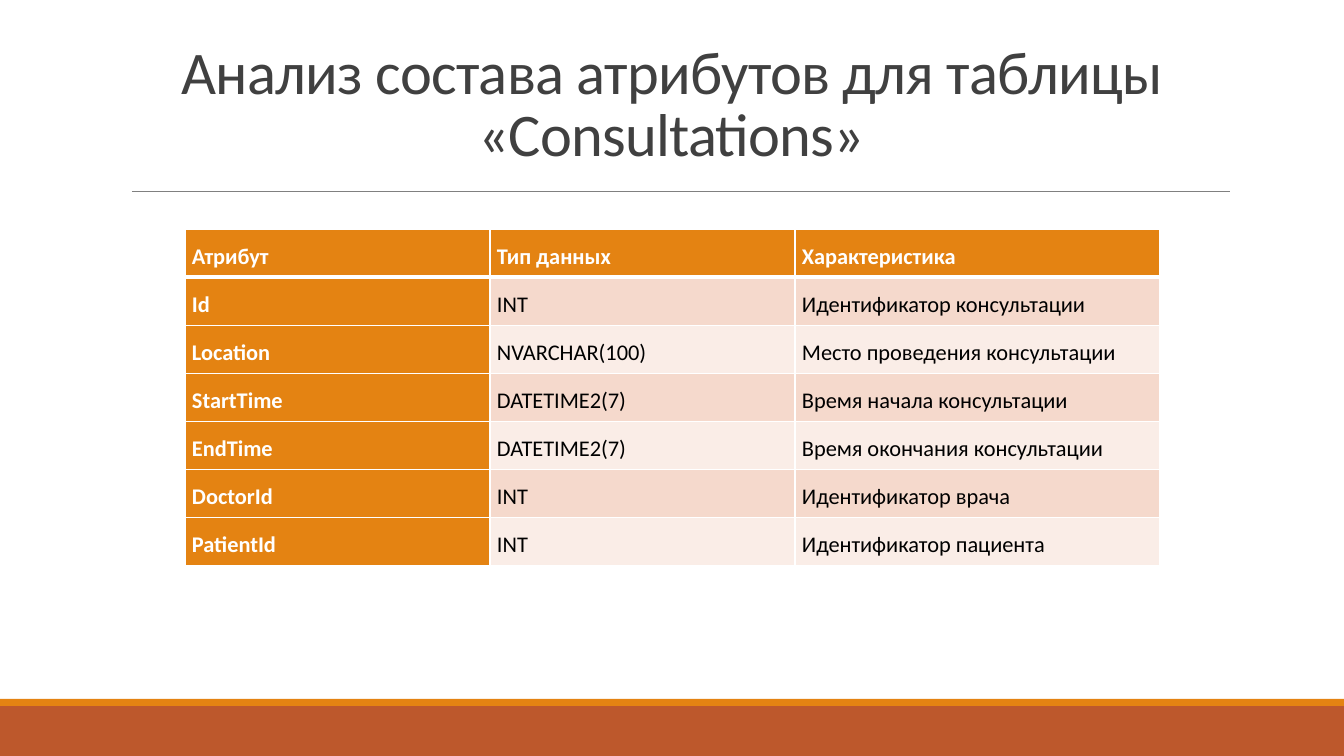
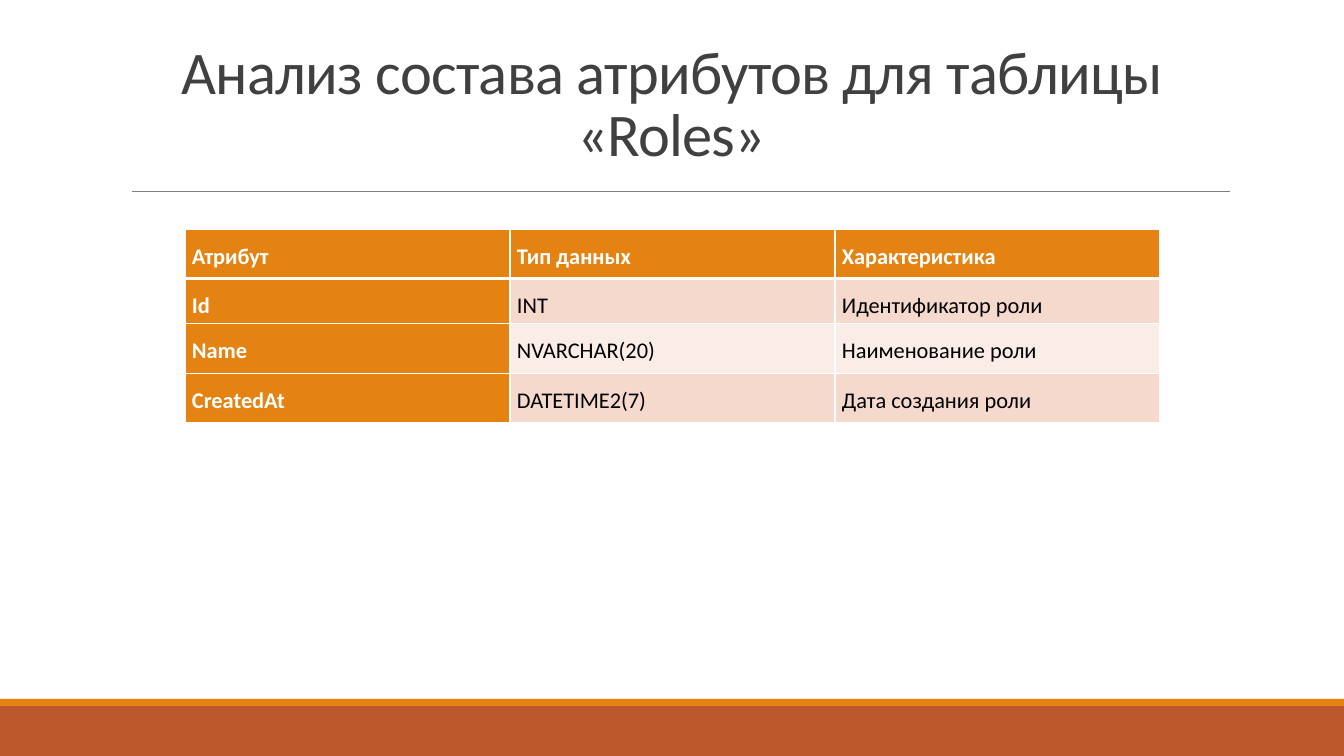
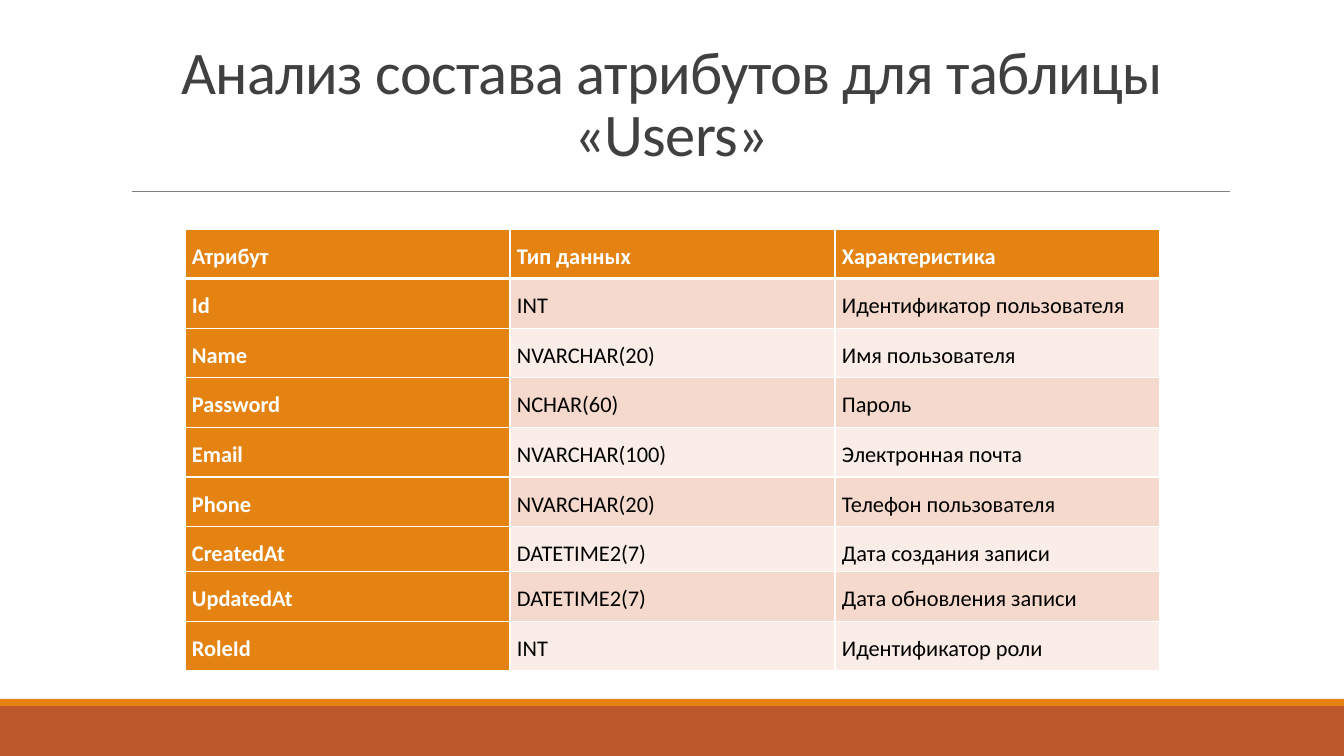
from lxml import etree
from pptx import Presentation
from pptx import util as u
from pptx.dml.color import RGBColor
from pptx.enum import shapes, text
from pptx.oxml import ns

EMU_PER_PX = 914400 / 100.8
FONT = "Calibri"
WHITE, BLACK, GREY, TITLE_COLOR = "FFFFFF", "000000", "808080", "404040"
ORANGE, RUST = "E48312", "BD582C"
ROW_FILLS = ["F5D9CC", "FAEDE7"]
BANDS = [(706, 50, RUST), (699, 7, ORANGE)]
WIDTH, HEIGHT = 1344, 756
TABLE_LEFT, TABLE_TOP = 185, 229
HEADER = ("Атрибут", "Тип данных", "Характеристика")

# short_row is the index of the one lower row, short_height its height
TABLES = [
    dict(name="Consultations", columns=[305, 305, 365], height=337,
         short_row=None, rows=[
             ("Id", "INT", "Идентификатор консультации"),
             ("Location", "NVARCHAR(100)", "Место проведения консультации"),
             ("StartTime", "DATETIME2(7)", "Время начала консультации"),
             ("EndTime", "DATETIME2(7)", "Время окончания консультации"),
             ("DoctorId", "INT", "Идентификатор врача"),
             ("PatientId", "INT", "Идентификатор пациента")]),
    dict(name="Roles", columns=[325] * 3, height=194, short_row=1, rows=[
        ("Id", "INT", "Идентификатор роли"),
        ("Name", "NVARCHAR(20)", "Наименование роли"),
        ("CreatedAt", "DATETIME2(7)", "Дата создания роли")]),
    dict(name="Users", columns=[325] * 3, height=442, short_row=6, rows=[
        ("Id", "INT", "Идентификатор пользователя"),
        ("Name", "NVARCHAR(20)", "Имя пользователя"),
        ("Password", "NCHAR(60)", "Пароль"),
        ("Email", "NVARCHAR(100)", "Электронная почта"),
        ("Phone", "NVARCHAR(20)", "Телефон пользователя"),
        ("CreatedAt", "DATETIME2(7)", "Дата создания записи"),
        ("UpdatedAt", "DATETIME2(7)", "Дата обновления записи"),
        ("RoleId", "INT", "Идентификатор роли")]),
]
SHORT_HEIGHT = 45


def px(length):
    return u.Emu(round(length * EMU_PER_PX))


def rgb(color):
    return RGBColor.from_string(color)


presentation = Presentation()
presentation.slide_width, presentation.slide_height = px(WIDTH), px(HEIGHT)

for content in TABLES:
    slide = presentation.slides.add_slide(presentation.slide_layouts[6])

    for top, height, color in BANDS:
        band = slide.shapes.add_shape(shapes.MSO_SHAPE.RECTANGLE,
                                      0, px(top), px(WIDTH), px(height))
        band.shadow.inherit = False
        band.fill.solid()
        band.fill.fore_color.rgb = rgb(color)
        band.line.fill.background()

    rule = slide.shapes.add_connector(shapes.MSO_CONNECTOR.STRAIGHT,
                                      px(132), px(191), px(1230), px(191))
    rule.line.color.rgb = rgb(GREY)
    rule.line.width = u.Pt(0.5)
    etree.SubElement(rule._element.spPr, ns.qn("a:effectLst"))

    title = slide.shapes.add_textbox(px(101), px(67), px(1141), px(107))
    title.text_frame.word_wrap = True
    title.text_frame.vertical_anchor = text.MSO_ANCHOR.BOTTOM
    paragraph = title.text_frame.paragraphs[0]
    paragraph.text = f"Анализ состава атрибутов для таблицы «{content['name']}»"
    paragraph.alignment = text.PP_ALIGN.CENTER
    paragraph.line_spacing = 0.85
    paragraph.font.name = FONT
    paragraph.font.size = u.Pt(43.2)
    paragraph.font.color.rgb = rgb(TITLE_COLOR)
    paragraph.runs[0]._r.get_or_add_rPr().set("spc", "-50")

    rows = [HEADER] + content["rows"]
    columns = content["columns"]
    table = slide.shapes.add_table(
        len(rows), len(columns), px(TABLE_LEFT), px(TABLE_TOP),
        px(sum(columns)), px(content["height"])).table
    for column, width in zip(table.columns, columns):
        column.width = px(width)

    short_row = content["short_row"]
    if short_row is None:
        row_height = content["height"] / len(rows)
    else:
        row_height = (content["height"] - SHORT_HEIGHT) / (len(rows) - 1)

    for row_index, values in enumerate(rows):
        table.rows[row_index].height = px(
            SHORT_HEIGHT if row_index == short_row else row_height)
        for column_index, value in enumerate(values):
            cell = table.cell(row_index, column_index)
            is_heading = row_index == 0 or column_index == 0
            cell.margin_left = cell.margin_right = px(7)
            cell.margin_top = cell.margin_bottom = 0

            for side in "LRTB":
                under_header = (row_index, side) in [(0, "B"), (1, "T")]
                border = etree.SubElement(
                    cell._tc.get_or_add_tcPr(), ns.qn(f"a:ln{side}"),
                    w=str(u.Pt(3 if under_header else 1)))
                fill = etree.SubElement(border, ns.qn("a:solidFill"))
                etree.SubElement(fill, ns.qn("a:srgbClr"), val=WHITE)
            cell.fill.solid()
            cell.fill.fore_color.rgb = rgb(
                ORANGE if is_heading else ROW_FILLS[(row_index - 1) % 2])

            paragraph = cell.text_frame.paragraphs[0]
            paragraph.text = value
            paragraph.line_spacing = 1.5
            paragraph.font.name = FONT
            paragraph.font.size = u.Pt(16)
            paragraph.font.bold = is_heading
            paragraph.font.color.rgb = rgb(WHITE if is_heading else BLACK)

presentation.save("out.pptx")
